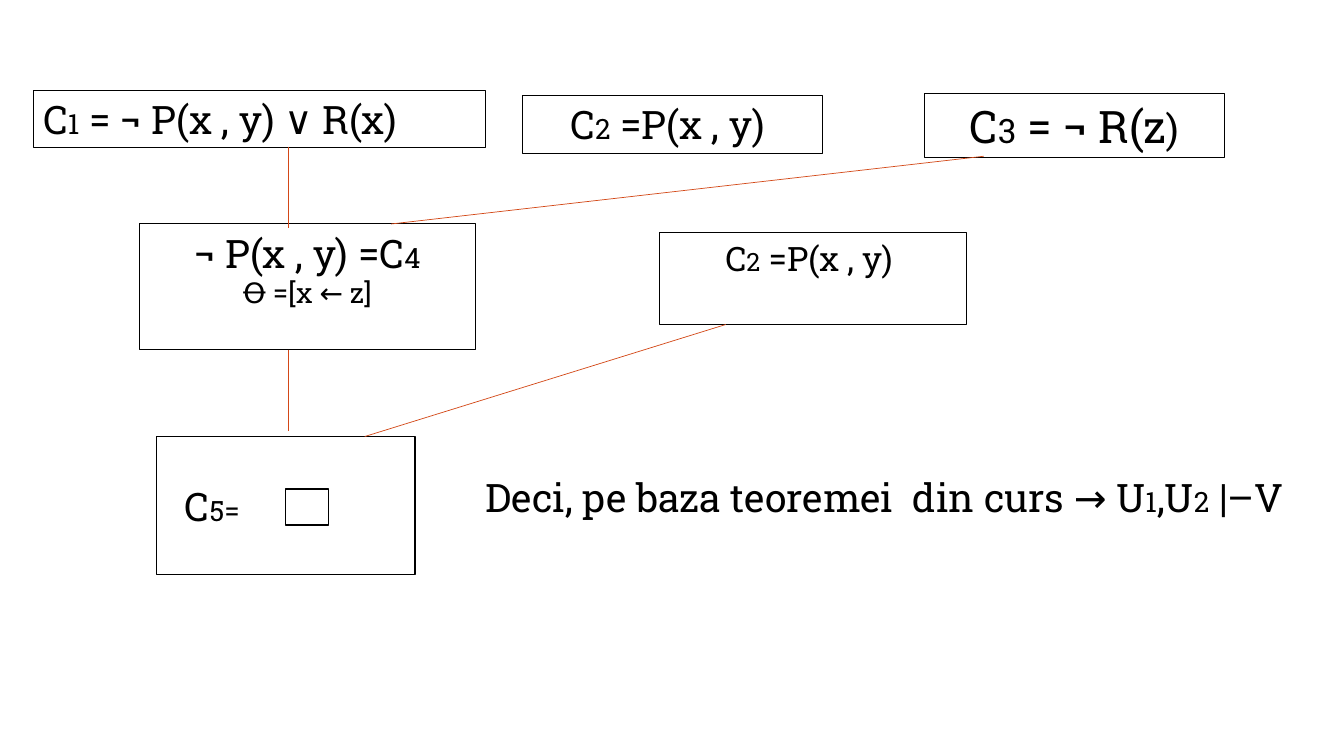
from dataclasses import dataclass

from lxml.etree import SubElement
from pptx import Presentation
from pptx.dml.color import RGBColor as RGB
from pptx.enum.shapes import MSO_CONNECTOR as Connector, MSO_SHAPE as Shape
from pptx.enum.text import MSO_ANCHOR as Anchor, PP_ALIGN as Align
from pptx.oxml.ns import qn
from pptx.util import Pt


@dataclass(frozen=True)
class Theme:
    font: str = "Roboto Slab"
    ink: RGB = RGB(0x00, 0x00, 0x00)
    paper: RGB = RGB(0xFF, 0xFF, 0xFF)
    link: RGB = RGB(0xD3, 0x48, 0x17)
    large: int = 32
    normal: int = 28
    medium: int = 24
    small: int = 20
    tiny: int = 18
    thin: float = 0.75
    thick: float = 1
    link_width: float = 0.5


class ProofSlide:
    def __init__(self, deck, theme):
        self.theme = theme
        self.page = deck.slides.add_slide(deck.slide_layouts[6])

    def add_lines(self, frame, lines, align):
        """Each line is a list of (text, size) pairs."""
        frame.word_wrap = True
        for number, line in enumerate(lines):
            para = frame.add_paragraph() if number else frame.paragraphs[0]
            para.alignment = align
            for text, size in line:
                span = para.add_run()
                span.text = text
                span.font.size = Pt(size)
                span.font.name = self.theme.font
                span.font.color.rgb = self.theme.ink

    def box(self, place, lines=(), align=Align.CENTER, anchor=Anchor.TOP,
            solid=False, indent=7.2):
        box = self.page.shapes.add_shape(Shape.RECTANGLE, *map(Pt, place))
        box.shadow.inherit = False
        if solid:
            box.fill.solid()
            box.fill.fore_color.rgb = self.theme.paper
        else:
            box.fill.background()
        box.line.color.rgb = self.theme.ink
        box.line.width = Pt(self.theme.thick if solid else self.theme.thin)
        frame = box.text_frame
        frame.vertical_anchor = anchor
        frame.margin_left = Pt(indent)
        self.add_lines(frame, lines, align)

    def text(self, place, lines):
        box = self.page.shapes.add_textbox(*map(Pt, place))
        self.add_lines(box.text_frame, lines, Align.LEFT)

    def link(self, start, end):
        line = self.page.shapes.add_connector(
            Connector.STRAIGHT, *map(Pt, start + end))
        line.line.color.rgb = self.theme.link
        line.line.width = Pt(self.theme.link_width)
        SubElement(line._element.spPr, qn("a:effectLst"))


def main():
    deck = Presentation()
    deck.slide_width, deck.slide_height = Pt(960), Pt(540)
    theme = Theme()
    large, normal, medium = theme.large, theme.normal, theme.medium
    small, tiny = theme.small, theme.tiny
    proof = ProofSlide(deck, theme)

    # Empty clause
    proof.box((111.6, 311.8, 185, 98.6), [[("C", normal), ("5=", small)]],
              Align.LEFT, Anchor.MIDDLE, solid=True, indent=20.5)
    proof.box((203.8, 349.2, 31, 25.9), solid=True)

    # Starting clauses
    proof.box((23.8, 64.4, 323.3, 41),
              [[("C", normal), ("1", small),
                (" = ¬ P(x , y) ∨ R(x)", normal)]], Align.LEFT)
    proof.box((373, 68.4, 214.6, 41),
              [[("C", normal), ("2", small), (" =P(x , y) ", normal)]])
    proof.box((660.2, 66.8, 214.6, 46),
              [[("C", large), ("3", medium), (" = ¬ R(z", large),
                (")", normal)]])

    # Resolvent and the clause it meets
    proof.box((99.4, 160, 240.5, 89.8),
              [[("¬ P(x , y) =C", normal), ("4", small)],
               [("Ꝋ =[x ← z]", small)]])
    proof.box((471.4, 166.2, 218.9, 65.6),
              [[("C", medium), ("2", tiny), (" =P(x , y) ", medium)]])

    # Resolution steps
    for start, end in (((206, 104.8), (206, 162.8)),
                       ((702.7, 111.6), (279.4, 160)),
                       ((206, 249.8), (206, 308)),
                       ((518.4, 231.8), (260.6, 311.8))):
        proof.link(start, end)

    # Conclusion
    proof.text((339.8, 334.8, 619, 41),
               [[("Deci, pe baza teoremei  din curs → U", normal),
                 ("1", small), (",U", normal), ("2", small),
                 (" |–V", normal)]])

    deck.save("out.pptx")


if __name__ == "__main__":
    main()
